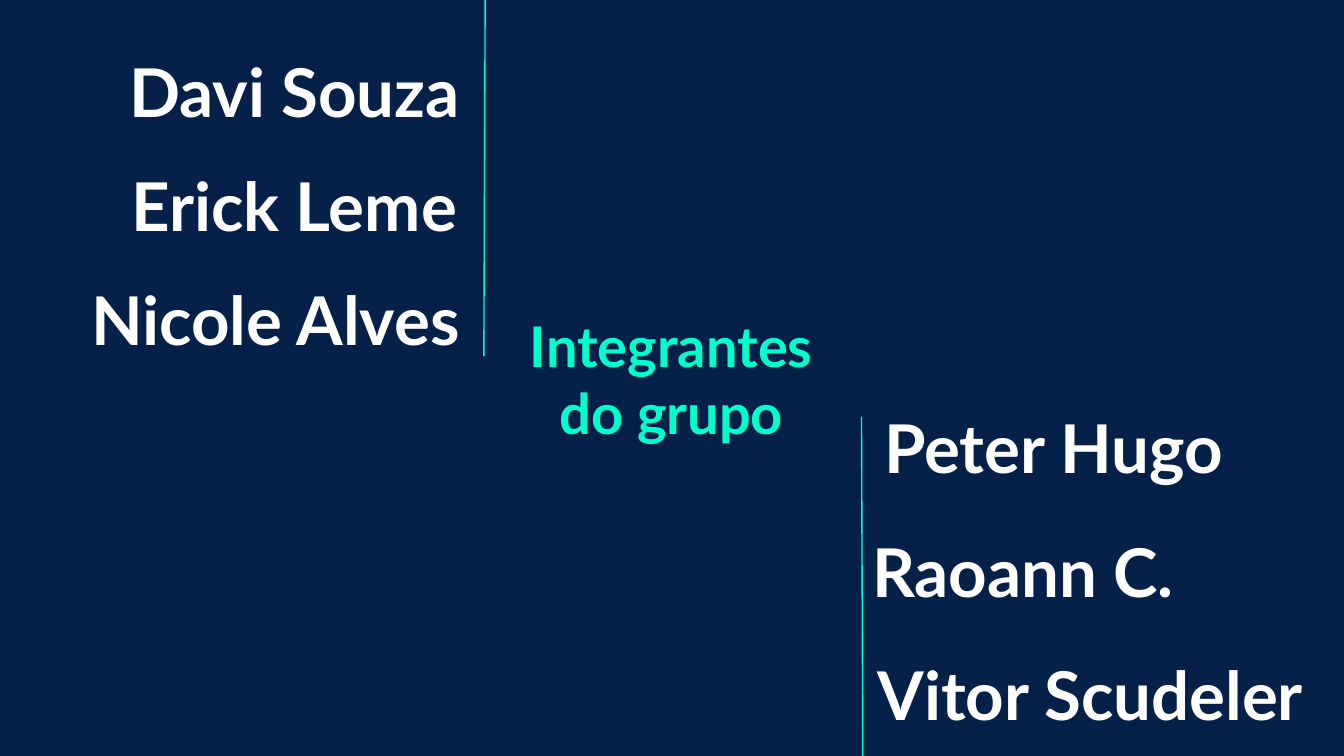
from pptx import Presentation
from pptx.dml.color import RGBColor
from pptx.enum.shapes import MSO_CONNECTOR
from pptx.enum.text import MSO_ANCHOR, MSO_AUTO_SIZE, PP_ALIGN
from pptx.oxml.ns import qn
from pptx.util import Inches, Pt

NAVY = RGBColor(0x05, 0x21, 0x4A)
MINT = RGBColor(0x00, 0xFF, 0xCD)
WHITE = RGBColor(0xFF, 0xFF, 0xFF)
FONT = "Lato"
SLIDE_WIDTH = 10
SLIDE_HEIGHT = SLIDE_WIDTH * 9 / 16
NAME_HEIGHT = 0.63

TITLE = "Integrantes do grupo"
# Each group: alignment, first top, step, then (name, left, width)
GROUPS = [
    (PP_ALIGN.RIGHT, 0.36, 0.85, [
        ("Davi Souza", 0.28, 3.24),
        ("Erick Leme", 0.57, 2.93),
        ("Nicole Alves", 0.28, 3.24),
    ]),
    (PP_ALIGN.LEFT, 3.01, 0.92, [
        ("Peter Hugo", 6.48, 3.07),
        ("Raoann C.", 6.39, 3.27),
        ("Vitor Scudeler", 6.43, 3.72),
    ]),
]
# Start x, start y, end x, end y
DIVIDERS = [(3.61, 0, 3.6, 2.65), (6.41, 3.1, 6.42, 5.64)]


def write_text(shape, text, size, color, alignment):
    frame = shape.text_frame
    frame.word_wrap = True
    frame.auto_size = MSO_AUTO_SIZE.NONE
    frame.vertical_anchor = MSO_ANCHOR.MIDDLE
    frame.margin_left = frame.margin_right = Inches(0.1)
    frame.margin_top = frame.margin_bottom = Inches(0.1)
    paragraph = frame.paragraphs[0]
    paragraph.alignment = alignment
    run = paragraph.add_run()
    run.text = text
    run.font.name = FONT
    run.font.size = Pt(size)
    run.font.bold = True
    run.font.color.rgb = color


def add_divider(slide, *ends):
    line = slide.shapes.add_connector(
        MSO_CONNECTOR.STRAIGHT, *(Inches(value) for value in ends))
    line.line.color.rgb = MINT
    line.line.width = Pt(0.75)
    properties = line._element.spPr
    properties.append(properties.makeelement(qn("a:effectLst"), {}))


presentation = Presentation()
presentation.slide_width = Inches(SLIDE_WIDTH)
presentation.slide_height = Inches(SLIDE_HEIGHT)
slide = presentation.slides.add_slide(presentation.slide_layouts.get_by_name("Title Only"))
slide.background.fill.solid()
slide.background.fill.fore_color.rgb = NAVY

title = slide.shapes.title
title.left, title.top = Inches(3.7), Inches(2.3)
title.width, title.height = Inches(2.59), Inches(1.03)
write_text(title, TITLE, 30, MINT, PP_ALIGN.CENTER)

for alignment, first_top, step, members in GROUPS:
    for index, (name, left, width) in enumerate(members):
        box = slide.shapes.add_textbox(
            Inches(left), Inches(first_top + index * step),
            Inches(width), Inches(NAME_HEIGHT))
        write_text(box, name, 36, WHITE, alignment)

for divider in DIVIDERS:
    add_divider(slide, *divider)

presentation.save("out.pptx")
